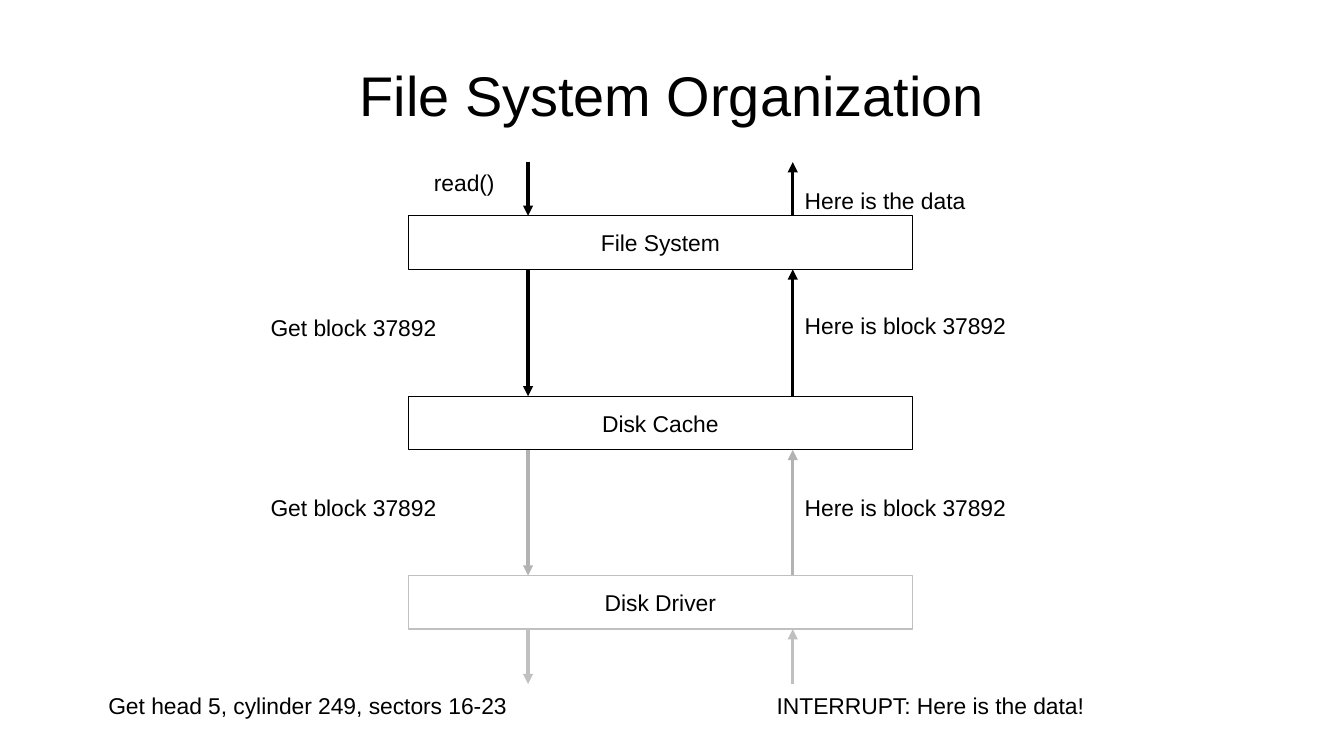
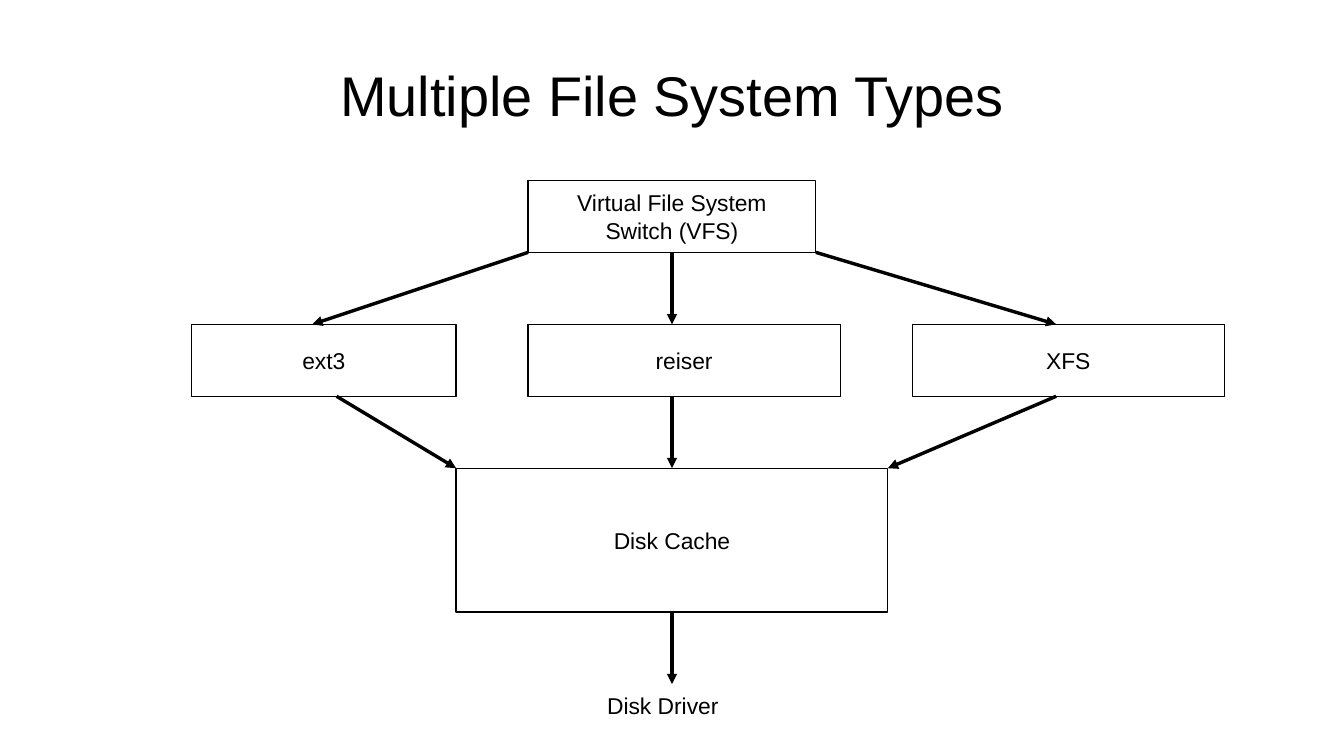
from dataclasses import dataclass
from typing import Optional

from lxml.etree import SubElement
from pptx import Presentation
from pptx.dml.color import RGBColor
from pptx.enum.shapes import MSO_CONNECTOR as Conn, MSO_SHAPE as Geom
from pptx.enum.text import MSO_ANCHOR as Anchor, PP_ALIGN as Align
from pptx.oxml.ns import qn
from pptx.util import Inches, Pt


@dataclass(frozen=True)
class Theme:
    font: str = "Arial"
    title_size: float = 33
    body_size: float = 13.5
    ink: str = "000000"
    paper: str = "FFFFFF"
    gray: str = "B3B3B3"
    pale: str = "C0C0C0"
    hairline: float = 0


@dataclass(frozen=True)
class Box:
    x: float
    y: float
    w: float
    h: float
    text: str
    line: str = Theme.ink


@dataclass(frozen=True)
class Arrow:
    x1: float
    y1: float
    x2: float
    y2: float
    color: str = Theme.ink
    begin: Optional[str] = None
    end: Optional[str] = None


@dataclass(frozen=True)
class Label:
    x: float
    y: float
    w: float
    text: str


T = Theme()
TOP, BOTTOM = 0, 2
LABEL_H = 0.31


def write(tf, text: str, size: float, align: Align, anchor: Anchor) -> None:
    tf.word_wrap = True
    tf.vertical_anchor = anchor
    for i, line in enumerate(text.split("\n")):
        p = tf.add_paragraph() if i else tf.paragraphs[0]
        p.alignment = align
        r = p.add_run()
        r.text = line
        r.font.name = T.font
        r.font.size = Pt(size)
        r.font.color.rgb = RGBColor.from_string(T.ink)


def add_title(s, text: str) -> None:
    tf = s.shapes.add_textbox(Inches(0.55), Inches(0.25), Inches(9.92), Inches(1.04)).text_frame
    tf.margin_left = tf.margin_right = tf.margin_top = tf.margin_bottom = 0
    write(tf, text, T.title_size, Align.CENTER, Anchor.MIDDLE)


def add_box(s, box: Box):
    sp = s.shapes.add_shape(Geom.RECTANGLE, Inches(box.x), Inches(box.y), Inches(box.w), Inches(box.h))
    sp.shadow.inherit = False
    sp.fill.solid()
    sp.fill.fore_color.rgb = RGBColor.from_string(T.paper)
    sp.line.color.rgb = RGBColor.from_string(box.line)
    sp.line.width = Pt(T.hairline)
    write(sp.text_frame, box.text, T.body_size, Align.CENTER, Anchor.MIDDLE)
    return sp


def add_arrow(s, arrow: Arrow, shapes: dict) -> None:
    c = s.shapes.add_connector(
        Conn.STRAIGHT, Inches(arrow.x1), Inches(arrow.y1), Inches(arrow.x2), Inches(arrow.y2))
    c.line.color.rgb = RGBColor.from_string(arrow.color)
    c.line.width = Pt(T.hairline)
    sp_pr = c.element.spPr
    SubElement(sp_pr.find(qn("a:ln")), qn("a:tailEnd"), type="triangle")
    SubElement(sp_pr, qn("a:effectLst"))
    if arrow.begin:
        c.begin_connect(shapes[arrow.begin], BOTTOM)
    if arrow.end:
        c.end_connect(shapes[arrow.end], TOP)


def add_label(s, label: Label) -> None:
    sp = s.shapes.add_textbox(Inches(label.x), Inches(label.y), Inches(label.w), Inches(LABEL_H))
    write(sp.text_frame, label.text, T.body_size, Align.LEFT, Anchor.TOP)


def add_diagram(prs, title: str, boxes: list[Box], arrows: list[Arrow], labels: list[Label]) -> None:
    s = prs.slides.add_slide(prs.slide_layouts[6])
    add_title(s, title)
    shapes = {box.text: add_box(s, box) for box in boxes}
    for arrow in arrows:
        add_arrow(s, arrow, shapes)
    for label in labels:
        add_label(s, label)


def organization(prs) -> None:
    down_x, up_x, layer_h = 4.33, 6.5, 0.44
    layers = [
        (1.77, "File System", T.ink),
        (3.25, "Disk Cache", T.ink),
        (4.72, "Disk Driver", T.pale),
    ]
    boxes = [Box(3.35, y, 4.13, layer_h, text, line) for y, text, line in layers]
    starts = [1.33] + [y + layer_h for y, _, _ in layers]
    ends = [y for y, _, _ in layers] + [5.61]
    arrows = []
    for y1, y2, color in zip(starts, ends, (T.ink, T.ink, T.gray, T.pale)):
        arrows += [Arrow(down_x, y1, down_x, y2, color), Arrow(up_x, y2, up_x, y1, color)]
    labels = [
        Label(3.46, 1.33, 0.86, "read()"),
        Label(2.12, 2.52, 2.02, "Get block 37892"),
        Label(2.12, 4, 2.02, "Get block 37892"),
        Label(0.79, 5.62, 4.57, "Get head 5, cylinder 249, sectors 16-23"),
        Label(6.27, 5.62, 3.57, "INTERRUPT: Here is the data!"),
        Label(up_x, 4, 2.41, "Here is block 37892"),
        Label(up_x, 2.51, 2.41, "Here is block 37892"),
        Label(up_x, 1.48, 1.96, "Here is the data"),
    ]
    add_diagram(prs, "File System Organization", boxes, arrows, labels)


def file_system_types(prs) -> None:
    unit, mid = 0.59, 5.51
    vfs_y, types_y, cache_y = (1.48 + 2 * unit * i for i in range(3))
    vfs, cache = "Virtual File System\nSwitch (VFS)", "Disk Cache"
    boxes = [
        Box(4.33, vfs_y, 2.36, unit, vfs),
        Box(1.57, types_y, 2.17, unit, "ext3"),
        Box(4.33, types_y, 2.56, unit, "reiser"),
        Box(7.48, types_y, 2.56, unit, "XFS"),
        Box(3.74, cache_y, 3.54, 2 * unit, cache),
    ]
    vfs_end, types_end, cache_end = vfs_y + unit, types_y + unit, cache_y + 2 * unit
    arrows = [
        Arrow(4.33, vfs_end, 2.56, types_y),
        Arrow(mid, vfs_end, mid, types_y, begin=vfs),
        Arrow(6.69, vfs_end, 8.66, types_y),
        Arrow(2.76, types_end, 3.74, cache_y),
        Arrow(mid, types_end, mid, cache_y, end=cache),
        Arrow(8.66, types_end, 7.28, cache_y),
        Arrow(mid, cache_end, mid, cache_end + unit, begin=cache),
    ]
    add_diagram(prs, "Multiple File System Types", boxes, arrows, [Label(4.88, 5.62, 1.42, "Disk Driver")])


def main() -> None:
    prs = Presentation()
    prs.slide_width, prs.slide_height = Inches(11.02), Inches(6.2)
    organization(prs)
    file_system_types(prs)
    prs.save("out.pptx")


if __name__ == "__main__":
    main()
